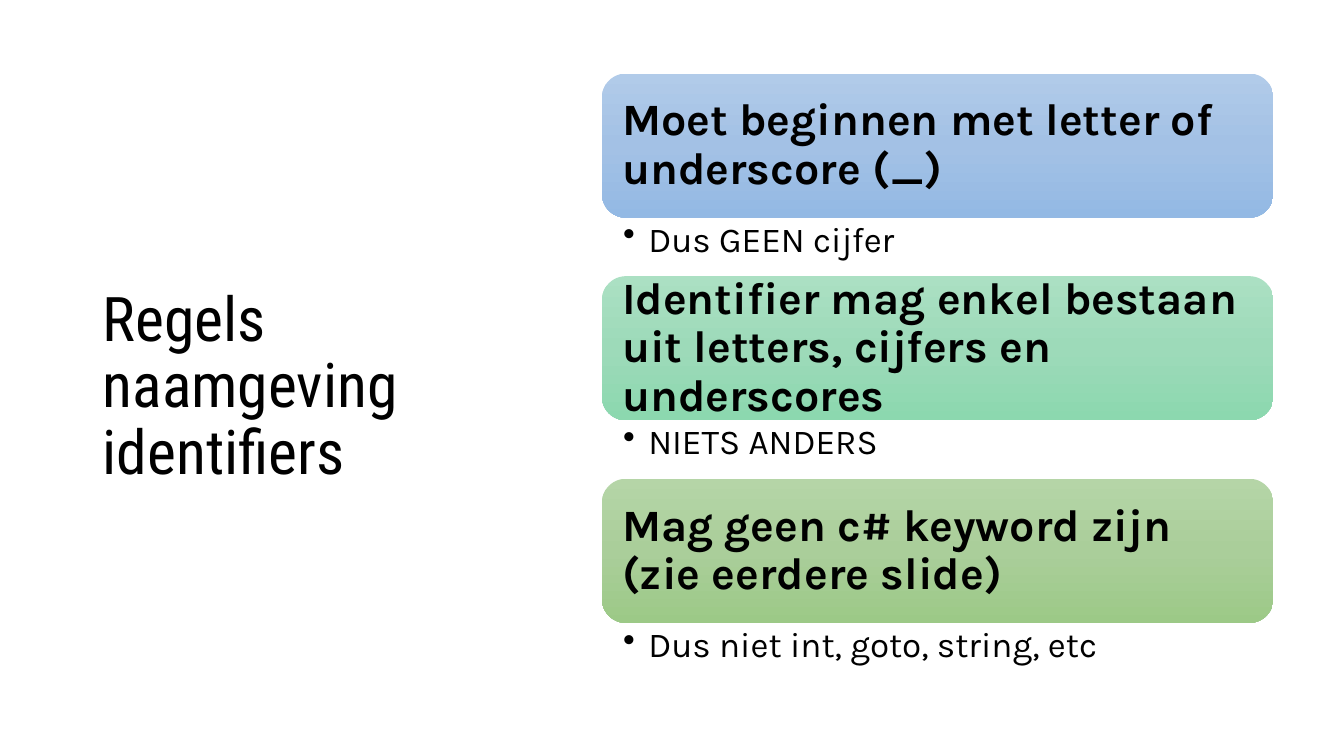
from copy import deepcopy

from lxml import etree
from pptx import Presentation
from pptx.dml.color import RGBColor
from pptx.enum.shapes import MSO_SHAPE
from pptx.enum.text import MSO_ANCHOR, PP_ALIGN
from pptx.oxml.ns import qn
from pptx.util import Inches, Pt

ROUNDED = MSO_SHAPE.ROUNDED_RECTANGLE
TOP, MIDDLE = MSO_ANCHOR.TOP, MSO_ANCHOR.MIDDLE
LEFT = PP_ALIGN.LEFT


def color(hex_text):
    return RGBColor.from_string(hex_text)


def write(shape, text, font_name, size, insets, anchor, bold=False, bullet=False):
    """Fill a shape with one paragraph; insets are left, top, right, bottom."""
    frame = shape.text_frame
    frame.word_wrap = True
    frame.vertical_anchor = anchor
    frame.margin_left, frame.margin_top, frame.margin_right, frame.margin_bottom = (
        Inches(inset) for inset in insets)
    paragraph = frame.paragraphs[0]
    paragraph.text = text
    if bullet:
        properties = paragraph._p.get_or_add_pPr()
        properties.set("marL", str(Inches(0.25)))
        properties.set("indent", str(Inches(-0.25)))
        etree.SubElement(properties, qn("a:buChar")).set("char", "•")
    paragraph.alignment = LEFT
    paragraph.line_spacing = 0.9
    paragraph.font.name = font_name
    paragraph.font.size = Pt(size)
    paragraph.font.bold = bold
    paragraph.font.color.rgb = color("000000")


presentation = Presentation()
presentation.slide_width = Inches(13.33)
presentation.slide_height = Inches(7.5)
slide = presentation.slides.add_slide(presentation.slide_layouts[6])

# Title
title = slide.shapes.add_textbox(Inches(0.92), Inches(0.89), Inches(3.65), Inches(5.91))
write(title, "Regels naamgeving identifiers", "Roboto Condensed", 44,
      (0.1, 0.05, 0.1, 0.05), MIDDLE)

# Naming rules: a gradient card with a bullet below it
RULES = [
    ("Moet beginnen met letter of underscore (_)", "Dus GEEN cijfer",
     ("B1CBE9", "A3C1E5", "93B9E4")),
    ("Identifier mag enkel bestaan uit letters, cijfers en underscores", "NIETS ANDERS",
     ("ABE0C3", "9DDAB9", "8CD8AF")),
    ("Mag geen c# keyword zijn (zie eerdere slide)", "Dus niet int, goto, string, etc",
     ("B5D5A7", "AACE9A", "9CC987")),
]
RULE_LEFT, RULE_TOP, RULE_WIDTH = 5.97, 0.73, 6.66
CARD_HEIGHT, DETAIL_HEIGHT = 1.43, 0.58

for index, (rule, detail, shades) in enumerate(RULES):
    top = RULE_TOP + index * (CARD_HEIGHT + DETAIL_HEIGHT)
    card = slide.shapes.add_shape(ROUNDED, Inches(RULE_LEFT), Inches(top),
                                  Inches(RULE_WIDTH), Inches(CARD_HEIGHT))
    card.shadow.inherit = False
    card.line.fill.background()

    # Three-stop gradient from top to bottom
    card.fill.gradient()
    card.fill.gradient_angle = 270
    stop_list = card._element.spPr.find(qn("a:gradFill")).find(qn("a:gsLst"))
    stop_list.append(deepcopy(stop_list[-1]))
    for stop, position, shade in zip(card.fill.gradient_stops, (0, 0.5, 1), shades):
        stop.position = position
        stop.color.rgb = color(shade)
    write(card, rule, "Karla", 32, (0.13, 0.13, 0.13, 0.13), MIDDLE, bold=True)

    detail_box = slide.shapes.add_textbox(Inches(RULE_LEFT), Inches(top + CARD_HEIGHT),
                                          Inches(RULE_WIDTH), Inches(DETAIL_HEIGHT))
    write(detail_box, detail, "Karla", 25, (0.21, 0.04, 0.25, 0.04), TOP, bullet=True)

presentation.save("out.pptx")
